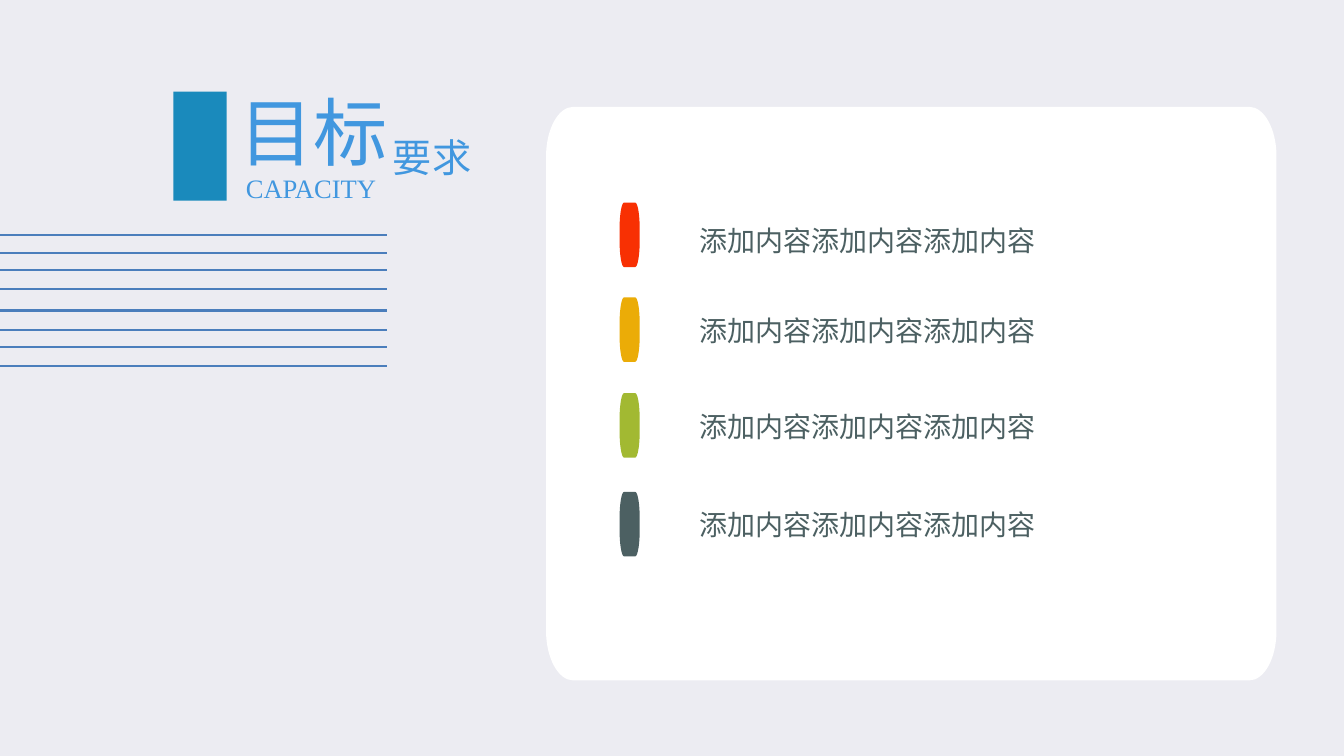
from lxml.etree import SubElement
from pptx import Presentation
from pptx.dml.color import RGBColor
from pptx.enum.shapes import MSO_CONNECTOR, MSO_SHAPE
from pptx.enum.text import MSO_ANCHOR, MSO_AUTO_SIZE, PP_ALIGN
from pptx.oxml.ns import qn
from pptx.util import Inches, Pt

CJK, SERIF = "Noto Sans CJK SC", "Times New Roman"
COLORS = {
    "background": "ECECF2", "card": "FFFFFF", "title": "4197DF",
    "block": "1A8ABC", "rule": "4B7EBC", "text": "4C6062",
    "red": "F83003", "amber": "EBAC07", "green": "A2B932", "slate": "4C6062",
}
# Marker colour, marker top, text top, text height
ITEMS = [
    ("red", 2.01, 2.1, 0.5),
    ("amber", 2.95, 2.99, 0.47),
    ("green", 3.9, 3.95, 0.47),
    ("slate", 4.88, 4.92, 0.47),
]
RULE_TOPS = [2.33, 2.51, 2.68, 2.87, 3.08, 3.27, 3.44, 3.63]
ARC = 0.55  # control point distance that makes a Bézier a quarter ellipse


def rgb(name):
    return RGBColor.from_string(COLORS[name])


def paint(sp, color):
    sp.shadow.inherit = False
    sp.fill.solid()
    sp.fill.fore_color.rgb = rgb(color)
    sp.line.fill.background()


def round_corner(segment, vertical_first):
    """Turn a straight corner cut into a curve towards the outer corner."""
    def xy(element):
        pt = element.find(qn("a:pt"))
        return int(pt.get("x")), int(pt.get("y"))

    (x0, y0), (x1, y1) = xy(segment.getprevious()), xy(segment)
    cx, cy = (x0, y1) if vertical_first else (x1, y0)
    segment.tag = qn("a:cubicBezTo")
    end = segment.find(qn("a:pt"))
    for x, y in ((x0, y0), (x1, y1)):
        control = SubElement(segment, qn("a:pt"))
        control.set("x", str(round(x + ARC * (cx - x))))
        control.set("y", str(round(y + ARC * (cy - y))))
    segment.append(end)


def add_rounded(s, x, y, w, h, rx, ry, color):
    """Rectangle whose corners are quarter ellipses of radii rx and ry."""
    right, bottom = x + w, y + h
    corners = [
        (right, bottom - ry), (right - rx, bottom),
        (x + rx, bottom), (x, bottom - ry),
        (x, y + ry), (x + rx, y),
        (right - rx, y), (right, y + ry),
    ]
    points = [(Inches(px), Inches(py)) for px, py in corners]
    builder = s.shapes.build_freeform(*points[0])
    builder.add_line_segments(points[1:], close=True)
    sp = builder.convert_to_shape()
    cuts = list(sp._element.iter(qn("a:lnTo")))[:7:2]
    # Each curve starts where the next segment in the list still is a line
    starts = [True, False, True, False]
    for cut, vertical_first in reversed(list(zip(cuts, starts))):
        round_corner(cut, vertical_first)
    paint(sp, color)


def set_text(sp, text, size, color, font, spacing):
    tf = sp.text_frame
    tf.vertical_anchor = MSO_ANCHOR.TOP
    tf.auto_size = MSO_AUTO_SIZE.SHAPE_TO_FIT_TEXT
    p = tf.paragraphs[0]
    p.text = text
    p.alignment = PP_ALIGN.LEFT
    p.line_spacing = spacing
    p.font.size = Pt(size)
    p.font.color.rgb = rgb(color)
    p.font.name = font
    # East Asian glyphs need their own typeface entry
    SubElement(p._p.pPr.find(qn("a:defRPr")), qn("a:ea"), typeface=font)


def add_box(s, x, y, w, h):
    return s.shapes.add_textbox(Inches(x), Inches(y), Inches(w), Inches(h))


def set_heading(sp, text, size, font, spacing):
    tf = sp.text_frame
    tf.margin_left = tf.margin_top = tf.margin_right = 0
    tf.margin_bottom = Inches(0.07)
    tf.word_wrap = False
    set_text(sp, text, size, "title", font, Pt(spacing))


def add_rule(s, y):
    line = s.shapes.add_connector(MSO_CONNECTOR.STRAIGHT, Inches(-0.08),
                                  Inches(y), Inches(3.84), Inches(y))
    line.line.color.rgb = rgb("rule")
    line.line.width = Pt(1.5)
    SubElement(line._element.spPr, qn("a:effectLst"))


def add_item(s, color, marker_top, text_top, text_height):
    add_rounded(s, 6.15, marker_top, 0.2, 0.64, 0.045, 0.26, color)
    sp = add_box(s, 6.84, text_top, 4.75, text_height)
    sp.text_frame.word_wrap = True
    set_text(sp, "添加内容添加内容添加内容", 20, "text", CJK, 1.2)


def main():
    prs = Presentation()
    prs.slide_width, prs.slide_height = Inches(13.34), Inches(7.5)
    s = prs.slides.add_slide(prs.slide_layouts[5])
    s.background.fill.solid()
    s.background.fill.fore_color.rgb = rgb("background")

    # Heading
    title = s.shapes.title
    title.left, title.top = Inches(2.38), Inches(0.78)
    title.width, title.height = Inches(1.49), Inches(0.97)
    set_heading(title, "目标", 53, CJK, 69.4)
    set_heading(add_box(s, 2.44, 1.8, 1.31, 0.3), "CAPACITY", 19, SERIF, 16)
    set_heading(add_box(s, 3.9, 0.83, 0.79, 0.89), "要求", 28, CJK, 69.4)
    block = s.shapes.add_shape(MSO_SHAPE.RECTANGLE, Inches(1.72), Inches(0.91),
                               Inches(0.53), Inches(1.08))
    paint(block, "block")

    # Card with its list
    add_rounded(s, 5.42, 1.06, 7.25, 5.69, 0.27, 0.49, "card")
    for item in ITEMS:
        add_item(s, *item)

    # Rules under the heading
    for y in RULE_TOPS:
        add_rule(s, y)

    prs.save("out.pptx")


if __name__ == "__main__":
    main()
